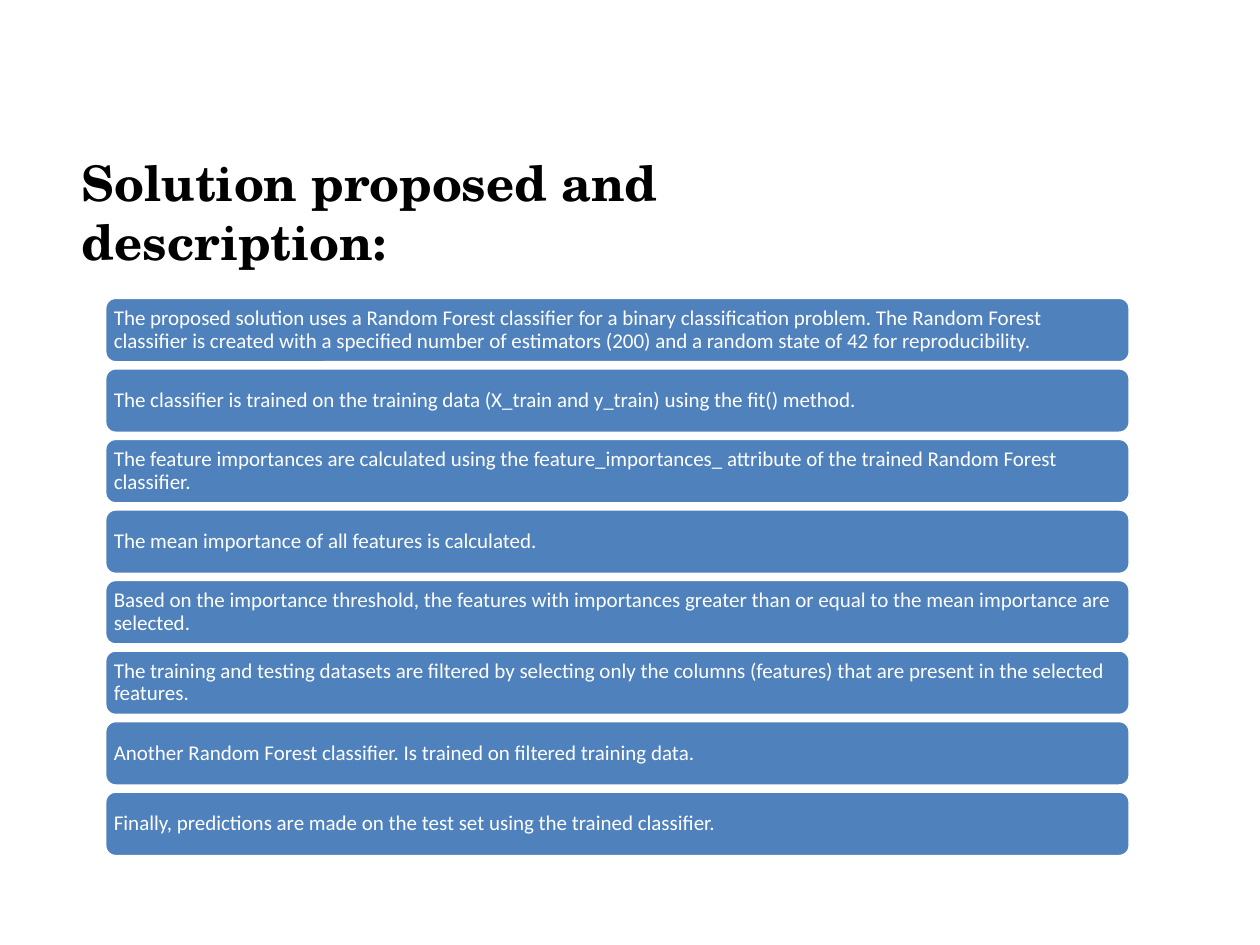
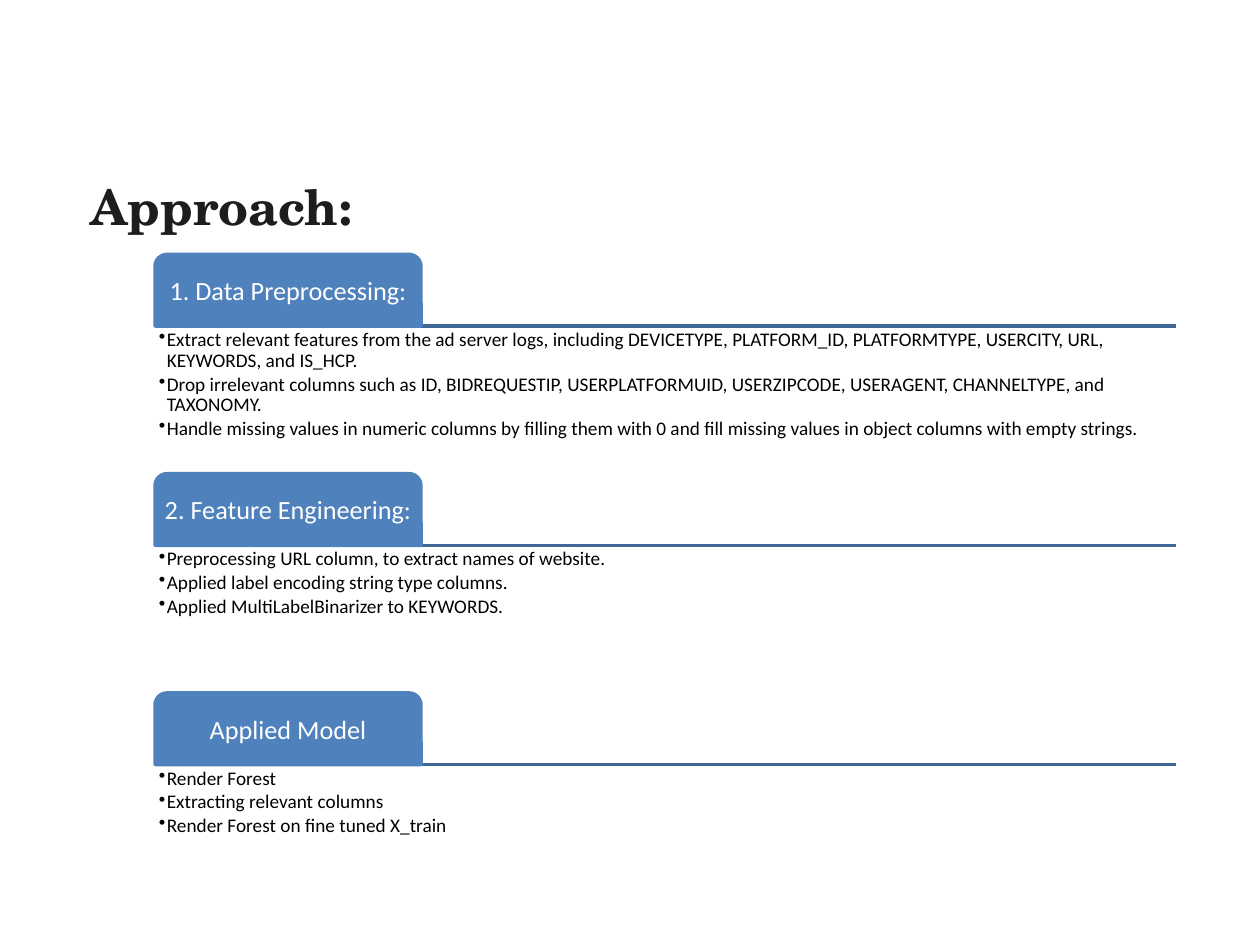
import pptx
import pptx.util
import pptx.dml.color
import pptx.enum.shapes
import pptx.enum.text
import pptx.oxml.ns
from lxml import etree

Pt = pptx.util.Pt
SHAPE = pptx.enum.shapes.MSO_SHAPE
ALIGN = pptx.enum.text.PP_ALIGN
ANCHOR = pptx.enum.text.MSO_ANCHOR
COLORS = {"blue": "4F81BD", "rule": "3F6797", "white": "FFFFFF",
          "black": "000000", "ink": "1D1D1D"}
TITLE_FONT = {"name": "TeX Gyre Schola", "size": Pt(28), "bold": True}
BODY_FONT = "Calibri"

STEPS = [
    "The proposed solution uses a Random Forest classifier for a binary classification problem. "
    "The Random Forest classifier is created with a specified number of estimators (200) and a "
    "random state of 42 for reproducibility.",
    "The classifier is trained on the training data (X_train and y_train) using the fit() method.",
    "The feature importances are calculated using the feature_importances_ attribute of the "
    "trained Random Forest classifier.",
    "The mean importance of all features is calculated.",
    "Based on the importance threshold, the features with importances greater than or equal to "
    "the mean importance are selected.",
    "The training and testing datasets are filtered by selecting only the columns (features) "
    "that are present in the selected features.",
    "Another Random Forest classifier. Is trained on filtered training data.",
    "Finally, predictions are made on the test set using the trained classifier.",
]
SECTIONS = [
    ("1. Data Preprocessing:", [
        "Extract relevant features from the ad server logs, including DEVICETYPE, PLATFORM_ID, "
        "PLATFORMTYPE, USERCITY, URL, KEYWORDS, and IS_HCP.",
        "Drop irrelevant columns such as ID, BIDREQUESTIP, USERPLATFORMUID, USERZIPCODE, "
        "USERAGENT, CHANNELTYPE, and TAXONOMY.",
        "Handle missing values in numeric columns by filling them with 0 and fill missing values "
        "in object columns with empty strings.",
    ]),
    ("2. Feature Engineering:", [
        "Preprocessing URL column, to extract names of website.",
        "Applied label encoding string type columns.",
        "Applied MultiLabelBinarizer to KEYWORDS.",
    ]),
    ("Applied Model", [
        "Render Forest",
        "Extracting relevant columns",
        "Render Forest on fine tuned X_train",
    ]),
]


def rgb(key):
    """Return the named colour."""
    return pptx.dml.color.RGBColor.from_string(COLORS[key])


def apply(obj, values):
    """Set each attribute of an object from a dict."""
    for name, value in values.items():
        setattr(obj, name, value)


def set_frame(tf, inset, anchor):
    """Wrap a text frame, with equal insets."""
    sides = ("left", "top", "right", "bottom")
    apply(tf, {f"margin_{side}": Pt(inset) for side in sides})
    apply(tf, {"word_wrap": True, "vertical_anchor": anchor})


def write(p, text, font, color, **para):
    """Write one run into a paragraph and format both."""
    r = p.add_run()
    r.text = text
    apply(r.font, font)
    r.font.color.rgb = rgb(color)
    apply(p, para)


def add_titled_slide(prs, title, box, color, **para):
    """Add a title-only slide with its title placed in the box."""
    s = prs.slides.add_slide(prs.slide_layouts[5])
    sp = s.shapes.title
    apply(sp, dict(zip(("left", "top", "width", "height"), map(Pt, box))))
    tf = sp.text_frame
    apply(tf, {"word_wrap": True, "vertical_anchor": ANCHOR.MIDDLE})
    write(tf.paragraphs[0], title, TITLE_FONT, color, alignment=ALIGN.LEFT, **para)
    return s


def add_panel(s, kind, box, line, text, size, inset, align):
    """Add a blue shape holding one white paragraph."""
    sp = s.shapes.add_shape(kind, *map(Pt, box))
    sp.shadow.inherit = False
    sp.fill.solid()
    sp.fill.fore_color.rgb = rgb("blue")
    sp.line.color.rgb = rgb(line)
    sp.line.width = Pt(2)
    set_frame(sp.text_frame, inset, ANCHOR.MIDDLE)
    write(sp.text_frame.paragraphs[0], text, {"name": BODY_FONT, "size": Pt(size)},
          "white", alignment=align, line_spacing=0.9)


def add_bars(s, box, steps, gap=2.9):
    """Stack one bar per step down the box."""
    x, y, w, h = box
    bar = (h + gap) / len(steps) - gap
    for i, step in enumerate(steps):
        add_panel(s, SHAPE.ROUNDED_RECTANGLE, (x, y + i * (bar + gap), w, bar),
                  "white", step, 12, 3.4, ALIGN.LEFT)


def add_rule(s, x, y, w):
    """Draw a horizontal rule without a shadow."""
    ln = s.shapes.add_connector(pptx.enum.shapes.MSO_CONNECTOR.STRAIGHT,
                                Pt(x), Pt(y), Pt(x + w), Pt(y))
    ln.line.color.rgb = rgb("rule")
    ln.line.width = Pt(2)
    etree.SubElement(ln._element.spPr, pptx.oxml.ns.qn("a:effectLst"))


def add_bullets(s, box, items, indent=4.5):
    """Add a bulleted list in the box."""
    tf = s.shapes.add_textbox(*map(Pt, box)).text_frame
    set_frame(tf, 2.2, ANCHOR.TOP)
    for i, item in enumerate(items):
        p = tf.add_paragraph() if i else tf.paragraphs[0]
        write(p, item, {"name": BODY_FONT, "size": Pt(11)}, "black",
              line_spacing=0.9, space_after=Pt(1.65))
        pPr = p._p.get_or_add_pPr()
        pPr.set("marL", str(Pt(indent)))
        pPr.set("indent", str(-Pt(indent)))
        etree.SubElement(pPr, pptx.oxml.ns.qn("a:buChar")).set("char", "•")


def add_section(s, box, heading, items):
    """Add a heading tab on a rule, with its bullets below."""
    x, y, w, h = box
    tab_w, tab_h = 152, 41
    add_rule(s, x, y + tab_h, w)
    add_panel(s, SHAPE.ROUND_2_SAME_RECTANGLE, (x, y, tab_w, tab_h),
              "blue", heading, 15, 2, ALIGN.CENTER)
    add_bullets(s, (x, y + tab_h, w, h - tab_h), items)


def add_sections(s, box, sections, gap=2.2):
    """Divide the box evenly among the sections."""
    x, y, w, h = box
    each = (h + gap) / len(sections) - gap
    for i, (heading, items) in enumerate(sections):
        add_section(s, (x, y + i * (each + gap), w, each), heading, items)


def main():
    """Build and save both slides."""
    prs = pptx.Presentation()
    apply(prs, {"slide_width": Pt(720), "slide_height": Pt(540)})
    s = add_titled_slide(prs, "Solution proposed and description:",
                         (39.6, 78.5, 459.4, 84.2), "black")
    add_bars(s, (59.8, 169.9, 586, 319.6), STEPS)
    s = add_titled_slide(prs, "Approach:", (44.6, 78.5, 487.4, 73.4), "ink",
                         line_spacing=1.15)
    add_sections(s, (88.6, 145.4, 583.2, 373.7), SECTIONS)
    prs.save("out.pptx")


main()
